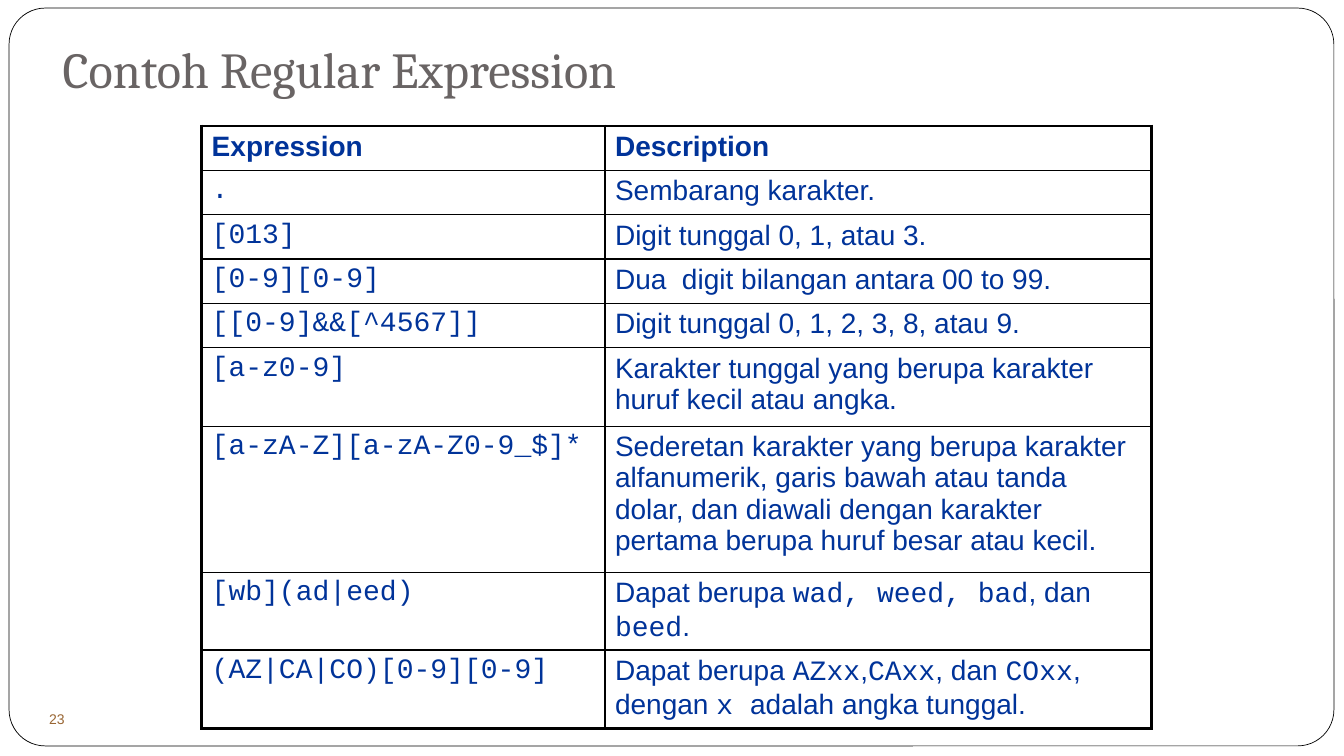
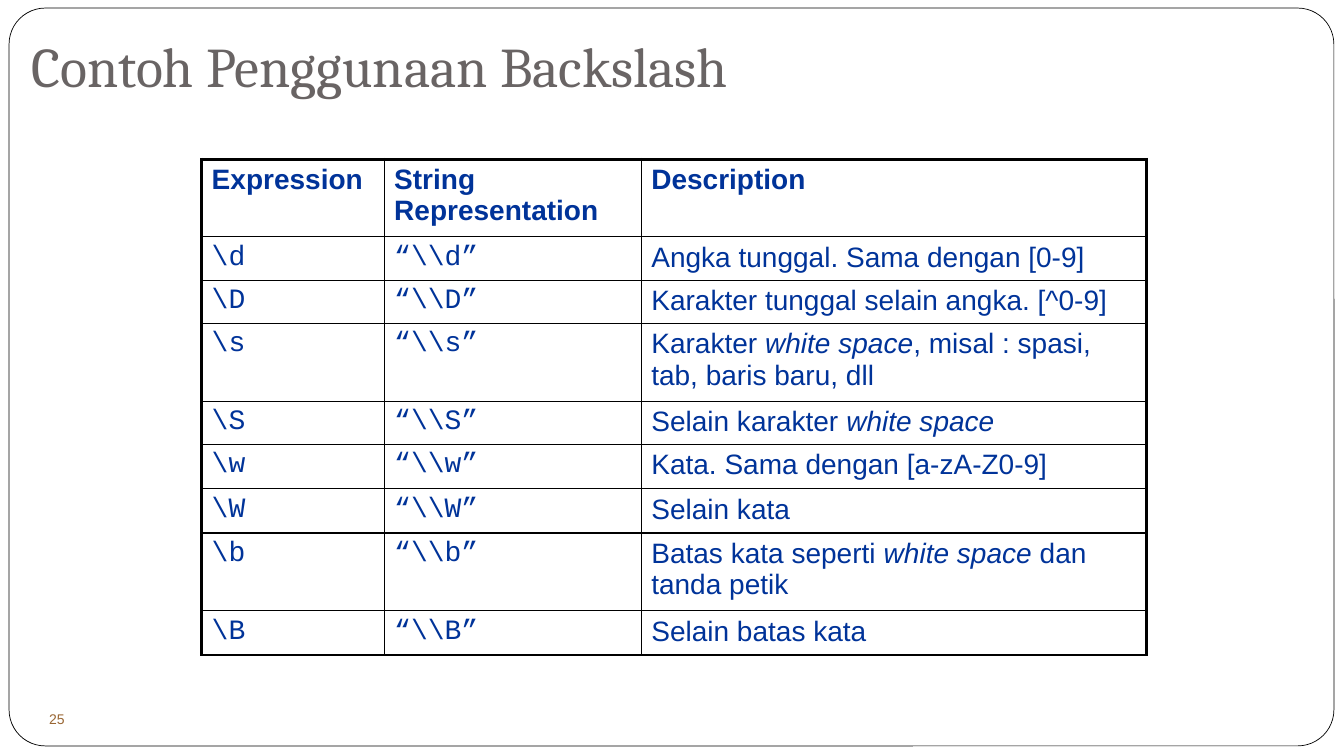
from lxml.etree import SubElement
from pptx import Presentation
from pptx.dml.color import RGBColor
from pptx.enum.shapes import MSO_SHAPE
from pptx.enum.text import MSO_ANCHOR, MSO_AUTO_SIZE, PP_ALIGN
from pptx.oxml.ns import qn
from pptx.util import Inches, Pt

WHITE = RGBColor(0xFF, 0xFF, 0xFF)
BLACK = RGBColor(0, 0, 0)
GREY = RGBColor(0x69, 0x64, 0x64)
BROWN = RGBColor(0x99, 0x66, 0x33)
BLUE = RGBColor(0x00, 0x33, 0x99)
SANS, SERIF, MONO = "Arial", "Cambria", "Courier New"
THIN, THICK = Pt(1), Pt(2.25)

REGEX = [
    ("Expression", "Description"),
    ("`.`", "Sembarang karakter."),
    ("`[013]`", "Digit tunggal 0, 1, atau 3."),
    ("`[0-9][0-9]`", "Dua  digit bilangan antara 00 to 99."),
    ("`[[0-9]&&[^4567]]`", "Digit tunggal 0, 1, 2, 3, 8, atau 9."),
    ("`[a-z0-9]`", "Karakter tunggal yang berupa karakter huruf kecil atau angka."),
    ("`[a-zA-Z][a-zA-Z0-9_$]*`",
     "Sederetan karakter yang berupa karakter alfanumerik, garis bawah atau "
     "tanda dolar, dan diawali dengan karakter pertama berupa huruf besar atau kecil."),
    ("`[wb](ad|eed)`", "Dapat berupa `wad, weed, bad`, dan `beed`."),
    ("`(AZ|CA|CO)[0-9][0-9]`",
     "Dapat berupa `AZxx`,`CAxx`, dan `COxx`, dengan `x `adalah angka tunggal."),
]
ESCAPES = [
    ("d", "Angka tunggal. Sama dengan [0-9]"),
    ("D", "Karakter tunggal selain angka. [^0-9]"),
    ("s", "Karakter ~white space~, misal : spasi, tab, baris baru, dll"),
    ("S", "Selain karakter ~white space~"),
    ("w", "Kata. Sama dengan [a-zA-Z0-9]"),
    ("W", "Selain kata"),
    ("b", "Batas kata seperti ~white space ~dan tanda petik"),
    ("B", "Selain batas kata"),
]
SLASHES = [("Expression", "String Representation", "Description")] + [
    (rf"`\{key}`", rf"`“\\{key}”`", text) for key, text in ESCAPES
]


def put(frame, text, font=SANS, size=20, color=BLUE, bold=False, align=PP_ALIGN.LEFT):
    para = frame.paragraphs[0]
    para.alignment = align
    for i, chunk in enumerate(text.split("`")):
        for j, piece in enumerate(chunk.split("~")):
            if piece:
                run = para.add_run()
                run.text = piece
                run.font.name = MONO if i % 2 else font
                run.font.size = Pt(size)
                run.font.color.rgb = color
                run.font.bold = bold
                run.font.italic = j % 2 == 1


def place(shape, box):
    shape.left, shape.top, shape.width, shape.height = map(Inches, box)


def edge(cell, sides):
    props = cell._tc.get_or_add_tcPr()
    for tag, width in sides.items():
        line = SubElement(props, qn(f"a:{tag}"), w=str(width))
        fill = SubElement(line, qn("a:solidFill"))
        SubElement(fill, qn("a:srgbClr"), val=str(BLACK))


def add_frame(slide, layout):
    frame = slide.shapes.add_shape(
        MSO_SHAPE.ROUNDED_RECTANGLE, *map(Inches, (0.09, 0.08, 13.14, 7.32)))
    frame.adjustments[0] = 0.049
    frame.shadow.inherit = False
    frame.fill.solid()
    frame.fill.fore_color.rgb = WHITE
    frame.line.color.rgb = BLACK
    frame.line.width = Pt(0.5)
    layout.shapes.element.insert(2, frame.element)


def add_title(slide, text, box, size):
    title = slide.shapes.title
    place(title, box)
    frame = title.text_frame
    frame.auto_size = MSO_AUTO_SIZE.NONE
    frame.word_wrap = True
    frame.vertical_anchor = MSO_ANCHOR.BOTTOM
    frame.margin_bottom = Inches(0.1)
    put(frame, text, font=SERIF, size=size, color=GREY)


def add_page(slide, number):
    badge = slide.shapes.add_shape(
        MSO_SHAPE.OVAL, *map(Inches, (0.23, 6.79, 0.67, 0.5)))
    badge.shadow.inherit = False
    badge.fill.background()
    badge.line.fill.background()
    frame = badge.text_frame
    frame.word_wrap = False
    frame.vertical_anchor = MSO_ANCHOR.MIDDLE
    frame.margin_left = frame.margin_right = frame.margin_bottom = 0
    frame.margin_top = Inches(0.18)
    put(frame, str(number), size=10, color=BROWN, align=PP_ALIGN.CENTER)


def add_grid(slide, rows, left, top, widths, heights):
    box = map(Inches, (left, top, sum(widths), sum(heights)))
    table = slide.shapes.add_table(len(rows), len(widths), *box).table
    table.first_row = table.horz_banding = False
    for col, width in zip(table.columns, widths):
        col.width = Inches(width)
    for row, height in zip(table.rows, heights):
        row.height = Inches(height)
    for r, texts in enumerate(rows):
        for c, text in enumerate(texts):
            cell = table.cell(r, c)
            edge(cell, {
                "lnL": THIN if c else THICK,
                "lnR": THICK if c == len(widths) - 1 else THIN,
                "lnT": THIN if r else THICK,
                "lnB": THICK if r == len(rows) - 1 else THIN,
            })
            cell.fill.background()
            put(cell.text_frame, text, bold=r == 0)


def main():
    deck = Presentation()
    deck.slide_width, deck.slide_height = Inches(13.33), Inches(7.5)
    layout = deck.slide_layouts[5]

    first = deck.slides.add_slide(layout)
    add_frame(first, layout)
    add_title(first, "Contoh Regular Expression", (0.52, 0.25, 12.26, 0.83), 36)
    add_page(first, 23)
    add_grid(first, REGEX, 2, 1.25, [4, 5.42],
             [0.44] * 5 + [0.78, 1.45, 0.77, 0.78])

    second = deck.slides.add_slide(layout)
    add_title(second, "Contoh Penggunaan Backslash", (0.21, 0.18, 12.56, 0.9), 40)
    add_page(second, 25)
    add_grid(second, SLASHES, 2, 1.58, [1.81, 2.55, 5.01],
             [0.77, 0.43, 0.43, 0.77, 0.43, 0.44, 0.44, 0.77, 0.44])

    deck.save("out.pptx")


if __name__ == "__main__":
    main()
